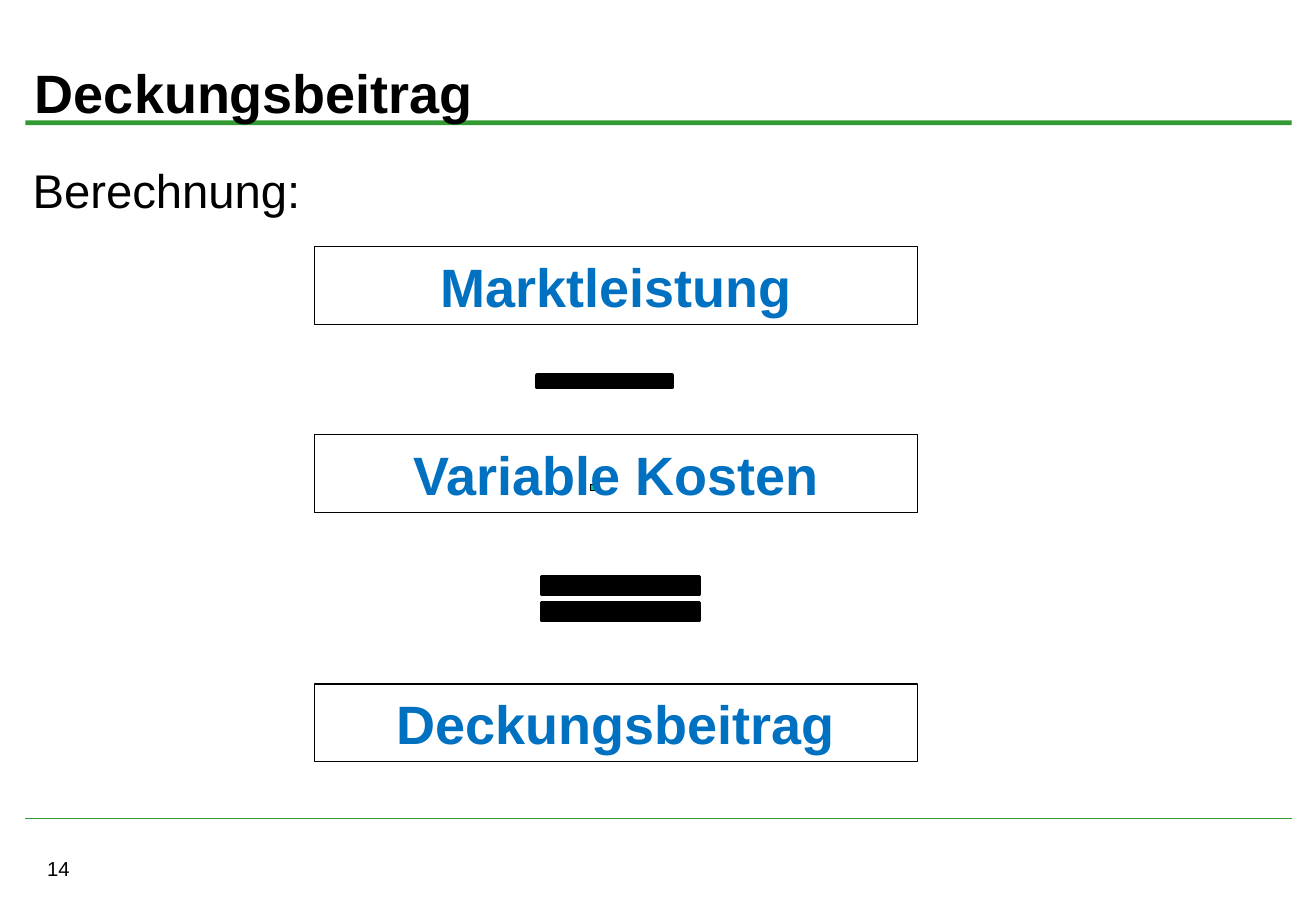
from lxml import etree
from pptx import Presentation
from pptx import util as u
from pptx.dml.color import RGBColor
from pptx.enum import shapes, text
from pptx.oxml.ns import qn

WIDTH, HEIGHT = u.Inches(10.83), u.Inches(7.5)
COLORS = {"rule": "339933", "ink": "000000", "term": "0070C0", "dot": "00CC99"}
MARGIN, RULE_WIDTH = 1.94, 96.21
TERM_LEFT, TERM_WIDTH, TERM_HEIGHT = 23.91, 45.8, 8.53
SIGN_LEFT = 38.97


def across(percent):
    """Turn a percentage of the slide width into a length."""
    return u.Emu(round(WIDTH * percent / 100))


def down(percent):
    """Turn a percentage of the slide height into a length."""
    return u.Emu(round(HEIGHT * percent / 100))


def area(left, top, width, height):
    """Turn percentages of the slide into a position and size."""
    return across(left), down(top), across(width), down(height)


def color(name):
    """Look up a named colour."""
    return RGBColor.from_string(COLORS[name])


def write(holder, words, size, ink="ink", bold=False, align=text.PP_ALIGN.LEFT,
          anchor=text.MSO_ANCHOR.TOP, top_inset=0.05):
    """Write one formatted paragraph into a shape or text box."""
    frame = holder.text_frame
    frame.word_wrap = True
    frame.vertical_anchor = anchor
    frame.margin_top = u.Inches(top_inset)
    paragraph = frame.paragraphs[0]
    paragraph.alignment = align
    run = paragraph.add_run()
    run.text = words
    run.font.name = "Arial"
    run.font.size = u.Pt(size)
    run.font.bold = bold
    run.font.color.rgb = color(ink)


def add_label(slide, place, words, size, **formats):
    """Add a text box with one paragraph."""
    write(slide.shapes.add_textbox(*area(*place)), words, size, **formats)


def add_figure(slide, kind, place, fill=None, outline=None, weight=0.75):
    """Add a preset shape with optional fill and outline."""
    figure = slide.shapes.add_shape(kind, *area(*place))
    figure.shadow.inherit = False
    if fill:
        figure.fill.solid()
        figure.fill.fore_color.rgb = color(fill)
    else:
        figure.fill.background()
    if outline:
        figure.line.color.rgb = color(outline)
        figure.line.width = u.Pt(weight)
    else:
        figure.line.fill.background()
    return figure


def add_footer_rule(slide, top):
    """Add the thin horizontal line above the page number."""
    rule = slide.shapes.add_connector(
        shapes.MSO_CONNECTOR.STRAIGHT, across(MARGIN), down(top),
        across(MARGIN + RULE_WIDTH), down(top))
    rule.line.color.rgb = color("rule")
    rule.line.width = u.Pt(0.75)
    etree.SubElement(rule.element.spPr, qn("a:effectLst"))


def add_term(slide, top, words):
    """Add one framed term of the calculation."""
    term = add_figure(slide, shapes.MSO_SHAPE.RECTANGLE,
                      (TERM_LEFT, top, TERM_WIDTH, TERM_HEIGHT), outline="ink")
    write(term, words, 32, ink="term", bold=True,
          align=text.PP_ALIGN.CENTER, anchor=text.MSO_ANCHOR.MIDDLE)


def main():
    """Build the slide and save it."""
    deck = Presentation()
    deck.slide_width, deck.slide_height = WIDTH, HEIGHT
    slide = deck.slides.add_slide(deck.slide_layouts[6])
    preset = shapes.MSO_SHAPE

    add_figure(slide, preset.RECTANGLE, (MARGIN, 13.2, RULE_WIDTH, 0.53), fill="rule")
    add_footer_rule(slide, 89.87)
    add_label(slide, (2.68, 93.33, 23.55, 4), "14", 12)
    add_label(slide, (1.75, 4.27, 96.49, 11.6), "Deckungsbeitrag", 32,
              bold=True, anchor=text.MSO_ANCHOR.MIDDLE)
    add_label(slide, (1.57, 16.53, 96.95, 72.4), "Berechnung:", 28, top_inset=0.09)

    add_figure(slide, preset.RECTANGLE, (44.88, 53.2, 0.46, 0.67),
               fill="dot", outline="ink")
    for sign, top, width, height in ((preset.MATH_MINUS, 38.93, 13.94, 5.87),
                                     (preset.MATH_EQUAL, 61.6, 16.34, 8.13)):
        add_figure(slide, sign, (SIGN_LEFT, top, width, height),
                   fill="ink", outline="ink", weight=2)
    for top, words in ((27.07, "Marktleistung"), (47.73, "Variable Kosten"),
                       (75.07, "Deckungsbeitrag")):
        add_term(slide, top, words)

    deck.save("out.pptx")


if __name__ == "__main__":
    main()
